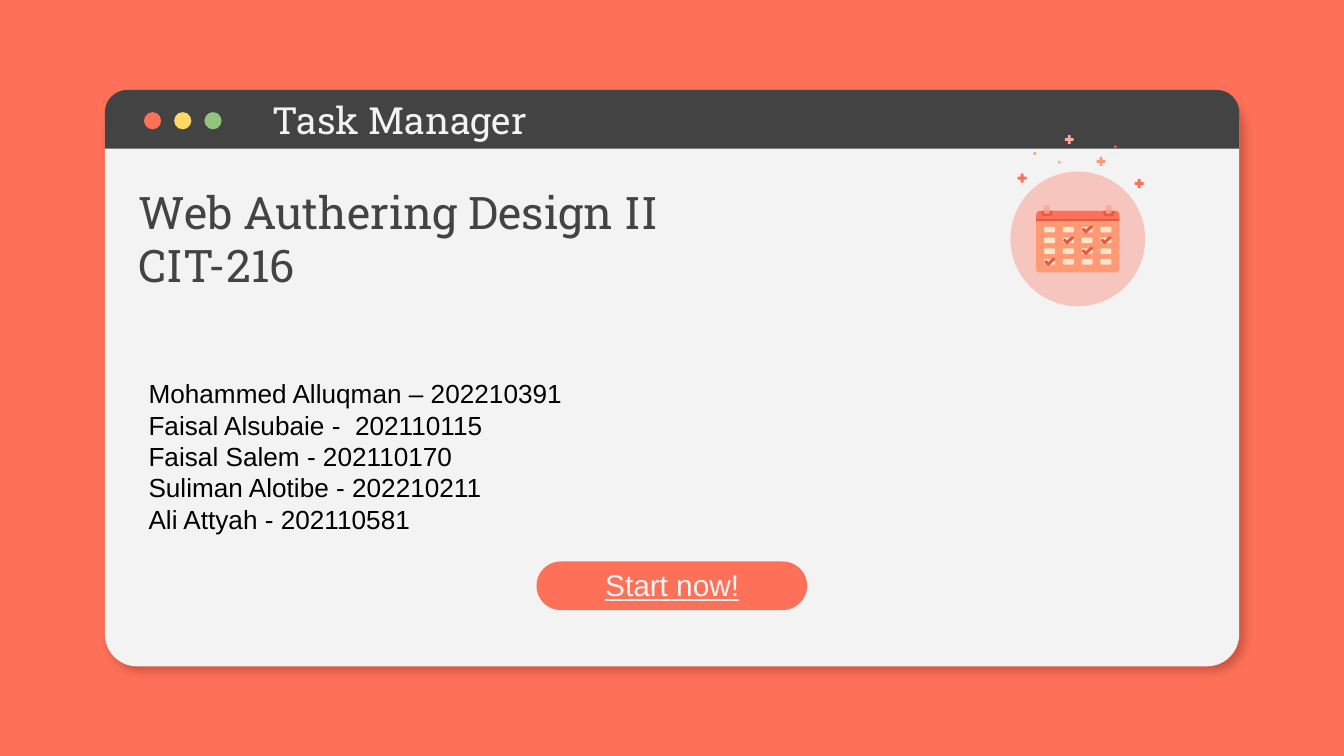
from pptx import Presentation
from pptx.dml.color import RGBColor
from pptx.enum.shapes import MSO_SHAPE as Preset
from pptx.enum.text import MSO_ANCHOR as Anchor, MSO_AUTO_SIZE as AutoSize, PP_ALIGN as Align
from pptx.oxml import parse_xml
from pptx.oxml.ns import nsdecls, qn
from pptx.util import Pt

# Content
TITLE = "Task Manager"
BUTTON = "Start now!"
COURSE = ["Web Authering Design II", "CIT-216"]
STUDENTS = [
    "Mohammed Alluqman – 202210391\vFaisal Alsubaie -  202110115\v"
    "Faisal Salem - 202110170\vSuliman Alotibe - 202210211",
    "Ali Attyah - 202110581",
]

# Colours and fonts
CORAL, PEACH, PINK, RUST = "FF7058", "FF9A75", "F9ABA0", "E55A43"
LIGHT, DARK, CREAM = "F3F3F3", "434343", "FCE5CD"
SERIF, SANS = "Roboto Slab", "Arial"

# Window and calendar parts
WINDOW_LEFT, WINDOW_WIDTH = 56.2, 607.7
WINDOW_DOTS = [CORAL, "FFD966", "93C47D"]
CALENDAR_LEFT, CALENDAR_TOP, CALENDAR_WIDTH = 555.1, 113, 44.6
CLIP_LEFTS = [559.4, 592.5]
CELL_LEFT, CELL_TOP, CELL_STEP_X, CELL_STEP_Y = 559.4, 121.6, 10.05, 5.76
CHECKED = [(3, 1), (1, 1), (2, 2), (0, 3), (2, 0)]  # column, row
CHECK_OUTLINE = [(5.4, 0), (4.5, 0.1), (2.2, 2.2), (1.4, 1.4), (0.6, 1.4), (0, 2.2),
                 (1.5, 3.8), (2.2, 4.3), (2.9, 3.8), (6.1, 0.8)]
PLUSES = [(544.3, 92.2, CORAL), (607, 95, CORAL), (586.6, 83.2, PEACH), (569.6, 71.5, PINK)]
SPECKS = [(596.8, 77.8, RUST), (566.8, 86.2, PINK), (553.6, 81.5, PEACH)]


def rgb(code):
    return RGBColor.from_string(code)


def paint(shape, color):
    shape.fill.solid()
    shape.fill.fore_color.rgb = rgb(color)
    shape.line.fill.background()
    shape.shadow.inherit = False
    return shape


def draw(preset, left, top, width, height, color, *adjustments):
    shape = shapes.add_shape(preset, Pt(left), Pt(top), Pt(width), Pt(height))
    for index, value in enumerate(adjustments):
        shape.adjustments[index] = value
    return paint(shape, color)


def place(box, left, top, width, height):
    places = {"left": left, "top": top, "width": width, "height": height}
    for name, value in places.items():
        setattr(box, name, Pt(value))


def write(box, texts, frame_format, para_format, font_format, color):
    frame = box.text_frame
    for name, value in frame_format.items():
        setattr(frame, name, value)
    for index, text in enumerate(texts):
        para = frame.add_paragraph() if index else frame.paragraphs[0]
        para.text = text
        for name, value in para_format.items():
            setattr(para, name, value)
        for span in para.runs:
            for name, value in font_format.items():
                setattr(span.font, name, value)
            span.font.color.rgb = rgb(color)


def margins(side, end):
    return {"margin_left": Pt(side), "margin_right": Pt(side),
            "margin_top": Pt(end), "margin_bottom": Pt(end), "word_wrap": True}


deck = Presentation()
deck.slide_width, deck.slide_height = Pt(720), Pt(405)
page = deck.slides.add_slide(deck.slide_layouts[0])
shapes = page.shapes
title, button_label = page.placeholders
page.background.fill.solid()
page.background.fill.fore_color.rgb = rgb(CORAL)

# Window with soft shadow, title bar and dots
window = draw(Preset.ROUNDED_RECTANGLE, WINDOW_LEFT, 49, WINDOW_WIDTH, 308, LIGHT, 0.056)
window.element.spPr.find(qn("a:effectLst")).append(parse_xml(
    f'<a:outerShdw {nsdecls("a")} blurRad="{Pt(4.5)}" dist="{Pt(3.8)}" dir="{49 * 60000}" '
    'algn="bl" rotWithShape="0"><a:srgbClr val="963A2A"><a:alpha val="47000"/></a:srgbClr>'
    '</a:outerShdw>'))
draw(Preset.ROUND_2_SAME_RECTANGLE, WINDOW_LEFT, 48.2, WINDOW_WIDTH, 31.5, DARK, 0.383, 0)
for index, color in enumerate(WINDOW_DOTS):
    draw(Preset.OVAL, 77.1 + 16.2 * index, 60.1, 9.2, 9.2, color)

# Title
shapes.element.append(title.element)
place(title, 90, 40.3, 248.4, 47.5)
write(title, [TITLE],
      {**margins(7.2, 7.2), "vertical_anchor": Anchor.MIDDLE, "auto_size": AutoSize.NONE},
      {"alignment": Align.CENTER}, {"name": SERIF, "size": Pt(20)}, LIGHT)

# Button
draw(Preset.ROUNDED_RECTANGLE, 287.4, 300.8, 145, 26, CORAL, 0.5)
shapes.element.append(button_label.element)
place(button_label, 316.6, 303.8, 87.1, 13.7)
paint(button_label, CORAL)
write(button_label, [BUTTON],
      {**margins(7.2, 0), "vertical_anchor": Anchor.TOP, "auto_size": AutoSize.NONE},
      {"alignment": Align.CENTER, "space_before": Pt(0), "space_after": Pt(16)},
      {"name": SANS, "size": Pt(16), "underline": True}, LIGHT)

# Calendar body, header and clips
draw(Preset.OVAL, 541.3, 91.9, 72.2, 72.2, "F6C5BE")
draw(Preset.ROUNDED_RECTANGLE, CALENDAR_LEFT, CALENDAR_TOP, CALENDAR_WIDTH, 33, PEACH, 0.06)
draw(Preset.ROUND_2_SAME_RECTANGLE, CALENDAR_LEFT, CALENDAR_TOP, CALENDAR_WIDTH, 4.4, CORAL, 0.5, 0)
for left in CLIP_LEFTS:
    draw(Preset.ROUND_2_SAME_RECTANGLE, left - 1.4, CALENDAR_TOP, 5.8, 2.9, RUST, 0, 0.5)
    draw(Preset.ROUNDED_RECTANGLE, left, 110.2, 2.9, 4.3, PEACH, 0.2)
    draw(Preset.ROUNDED_RECTANGLE, left, 110.2, 2.9, 2.2, PINK, 0.2)
draw(Preset.RECTANGLE, CALENDAR_LEFT, 117.4, CALENDAR_WIDTH, 1.1, RUST)

# Calendar days and check marks
for row in range(4):
    for column in range(4):
        draw(Preset.ROUNDED_RECTANGLE, CELL_LEFT + CELL_STEP_X * column,
             CELL_TOP + CELL_STEP_Y * row, 5.8, 2.9, CREAM, 0.25)
for column, row in CHECKED:
    left = CELL_LEFT + CELL_STEP_X * column
    top = CELL_TOP + CELL_STEP_Y * row - 0.7
    points = [(Pt(left + x), Pt(top + y)) for x, y in CHECK_OUTLINE]
    outline = shapes.build_freeform(*points[0])
    outline.add_line_segments(points[1:], close=True)
    paint(outline.convert_to_shape(), RUST)

# Sparkles
for left, top, color in PLUSES:
    draw(Preset.MATH_PLUS, left, top, 6.5, 6.5, color, 0.235)
for left, top, color in SPECKS:
    draw(Preset.OVAL, left, top, 1.5, 1.5, color)

# Course and students
course = shapes.add_textbox(Pt(67), Pt(92.2), Pt(482.4), Pt(70.6))
write(course, COURSE, {**margins(7.2, 7.2), "vertical_anchor": Anchor.MIDDLE}, {},
      {"name": SERIF, "size": Pt(24)}, DARK)
students = shapes.add_textbox(Pt(72.5), Pt(198.7), Pt(360), Pt(92.2))
write(students, STUDENTS, {**margins(7.2, 3.6), "auto_size": AutoSize.SHAPE_TO_FIT_TEXT}, {},
      {"name": SANS, "size": Pt(14)}, "000000")

deck.save("out.pptx")
